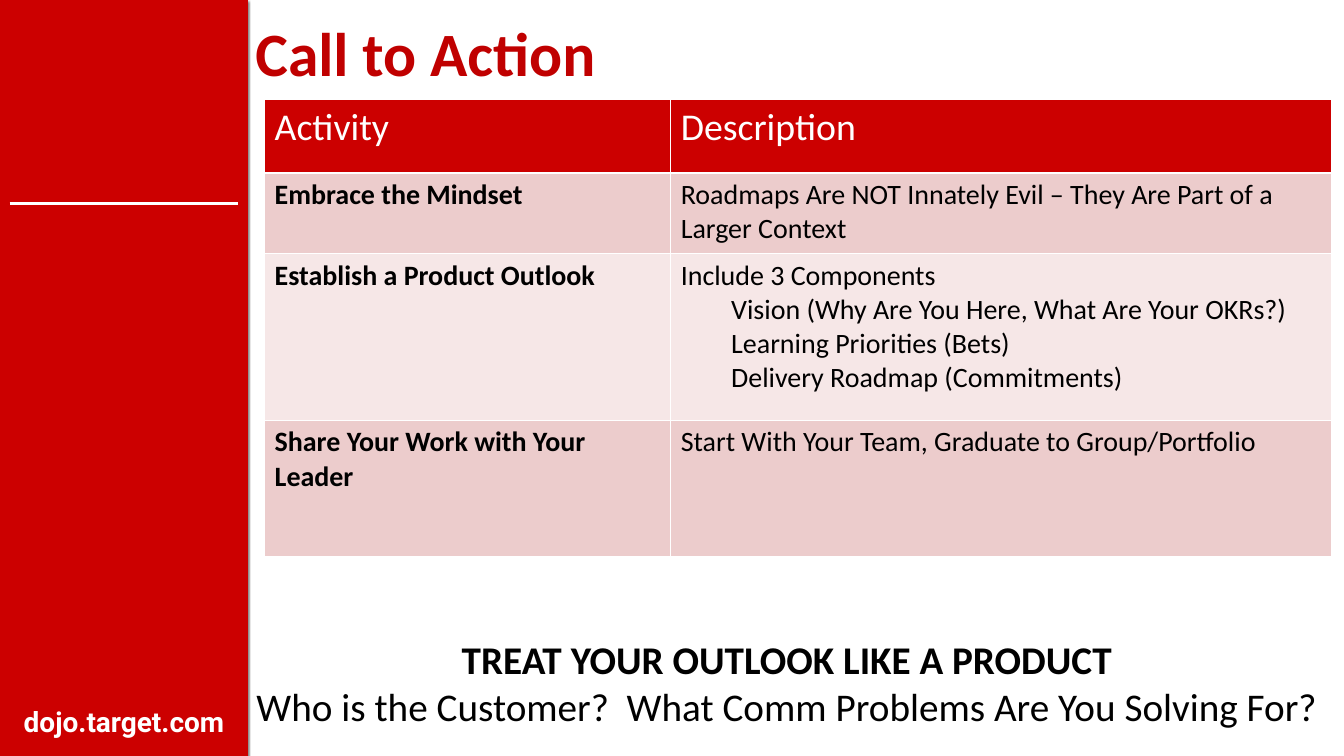
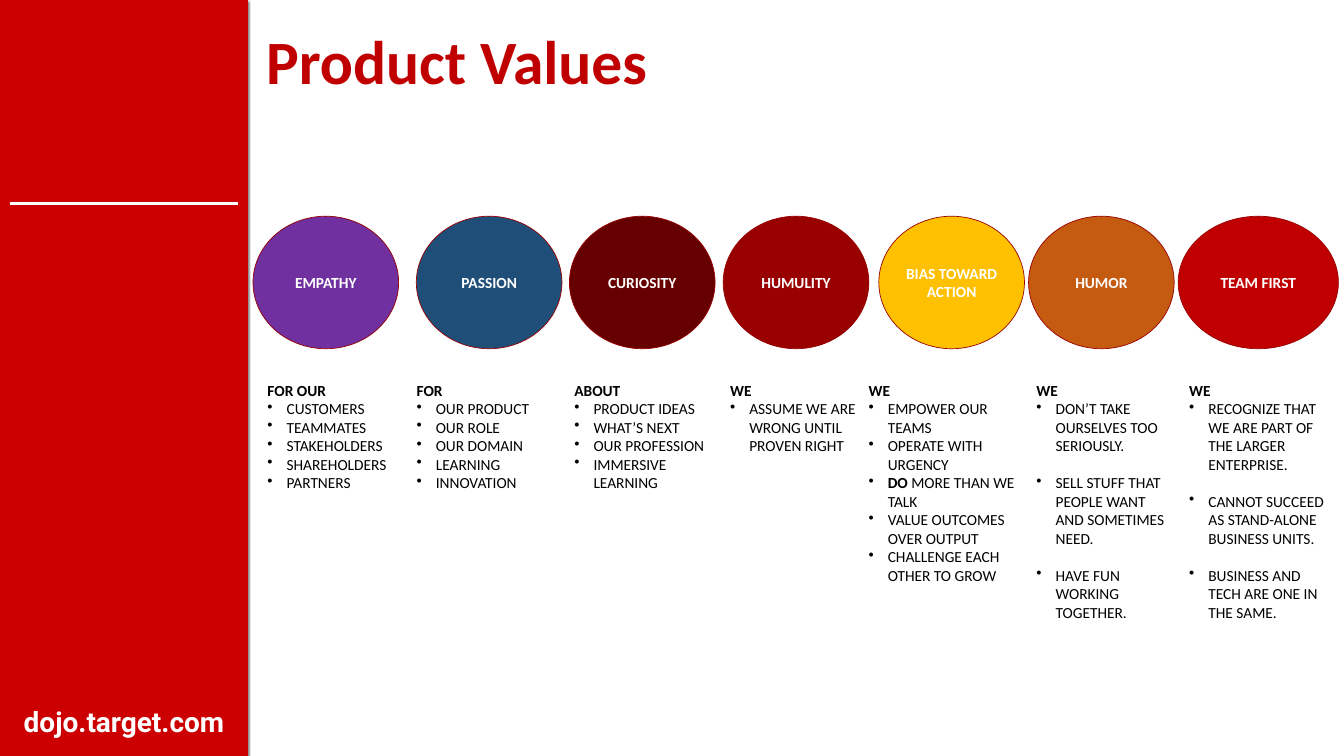
import pptx
import pptx.dml.color
import pptx.enum.shapes
import pptx.enum.text
import pptx.oxml
import pptx.oxml.ns
import pptx.util
from dataclasses import dataclass
from lxml import etree

Inches = pptx.util.Inches
Pt = pptx.util.Pt
Align = pptx.enum.text.PP_ALIGN
Anchor = pptx.enum.text.MSO_ANCHOR
Preset = pptx.enum.shapes.MSO_SHAPE

RED, TITLE_RED, OUTLINE = "CC0000", "C00000", "970000"
WHITE, BLACK = "FFFFFF", "000000"
ROW_TINTS = ["ECCCCC", "F6E7E7"]
BODY, ADDRESS_FONT = "Calibri", "Roboto"
VALUE_SIZE = 22


@dataclass
class Box:
    left: float
    top: float
    width: float
    height: float

    def share(self, left, top, width, height):
        return Box(
            self.left + self.width * left / 100,
            self.top + self.height * top / 100,
            self.width * width / 100,
            self.height * height / 100,
        )

    def place(self):
        return [Inches(n) for n in (self.left, self.top, self.width, self.height)]


PAGE = Box(0, 0, 26.67, 15)
BAND = PAGE.share(0, 0, 18.45, 100)
CONTENT = PAGE.share(18.45, 0, 81.55, 100)

ACTIVITIES = [
    ("Embrace the Mindset",
     ["Roadmaps Are NOT Innately Evil – They Are Part of a Larger Context"]),
    ("Establish a Product Outlook",
     ["Include 3 Components",
      "Vision (Why Are You Here, What Are Your OKRs?)",
      "Learning Priorities (Bets)",
      "Delivery Roadmap (Commitments)"]),
    ("Share Your Work with Your Leader",
     ["Start With Your Team, Graduate to Group/Portfolio"]),
]
ROW_SHARES = [16.02, 17.68, 36.58, 29.72]
COLUMN_SHARES = [38.07, 61.93]


@dataclass
class Value:
    name: str
    color: str
    oval: tuple
    notes: tuple
    lead: str
    points: list
    gap: float = 0


VALUES = [
    Value("EMPATHY", "7030A0", (0.46, 13.29), (1.33, 12.32, 15.6), "FOR OUR",
          ["CUSTOMERS", "TEAMMATES", "STAKEHOLDERS", "SHAREHOLDERS", "PARTNERS"]),
    Value("PASSION", "1F4E79", (15.36, 13.29), (14.94, 14.07, 17.93), "FOR",
          ["OUR PRODUCT", "OUR ROLE", "OUR DOMAIN", "LEARNING", "INNOVATION"]),
    Value("CURIOSITY", "660000", (29.33, 13.29), (29.33, 13.33, 17.93), "ABOUT",
          ["PRODUCT IDEAS", "WHAT’S NEXT", "OUR PROFESSION", "IMMERSIVE LEARNING"]),
    Value("HUMULITY", "990000", (43.36, 13.29), (43.54, 12.64, 10.53), "WE",
          ["ASSUME WE ARE WRONG UNTIL PROVEN RIGHT"]),
    Value("BIAS TOWARD ACTION", "FFC000", (57.56, 13.29), (56.18, 14.67, 30.27), "WE",
          ["EMPOWER OUR TEAMS", "OPERATE WITH URGENCY",
           [("DO", True), (" MORE THAN WE TALK", False)],
           "VALUE OUTCOMES OVER OUTPUT", "CHALLENGE EACH OTHER TO GROW"]),
    Value("HUMOR", "C55A11", (71.22, 13.29), (71.49, 13.33, 32.73), "WE",
          ["DON’T TAKE OURSELVES TOO SERIOUSLY.",
           "SELL STUFF THAT PEOPLE WANT AND SOMETIMES NEED.",
           "HAVE FUN WORKING TOGETHER."], gap=26.4),
    Value("TEAM FIRST", TITLE_RED, (84.87, 14.62), (85.43, 13.33, 32.73), "WE",
          ["RECOGNIZE THAT WE ARE PART OF THE LARGER ENTERPRISE.",
           "CANNOT SUCCEED AS STAND-ALONE BUSINESS UNITS.",
           "BUSINESS AND TECH ARE ONE IN THE SAME."], gap=26.4),
]


def rgb(color):
    return pptx.dml.color.RGBColor.from_string(color)


def write(frame, paragraphs, size, color=BLACK, font=BODY, align=Align.LEFT):
    for index, runs in enumerate(paragraphs):
        paragraph = frame.paragraphs[0] if index == 0 else frame.add_paragraph()
        paragraph.alignment = align
        for text, bold in runs:
            run = paragraph.add_run()
            run.text = text
            run.font.size = Pt(size)
            run.font.name = font
            run.font.bold = bold
            run.font.color.rgb = rgb(color)
    return frame.paragraphs


def indent(paragraph, left, hanging=0, bullet=None):
    properties = paragraph._p.get_or_add_pPr()
    properties.set("marL", str(Inches(left)))
    properties.set("indent", str(-Inches(hanging)))
    if bullet:
        etree.SubElement(properties, pptx.oxml.ns.qn("a:buChar")).set("char", bullet)


def add_text(slide, box, anchor=Anchor.TOP, wrap=True, grow=True):
    frame = slide.shapes.add_textbox(*box.place()).text_frame
    frame.word_wrap = wrap
    frame.vertical_anchor = anchor
    if grow:
        frame.auto_size = pptx.enum.text.MSO_AUTO_SIZE.SHAPE_TO_FIT_TEXT
    return frame


def add_filled(slide, preset, box, color):
    shape = slide.shapes.add_shape(preset, *box.place())
    shape.shadow.inherit = False
    shape.fill.solid()
    shape.fill.fore_color.rgb = rgb(color)
    return shape


def add_title(slide, box, text):
    frame = add_text(slide, box, Anchor.MIDDLE, grow=False)
    write(frame, [[(text, True)]], 88, TITLE_RED)[0].line_spacing = 0.9


def add_band(slide, box):
    panel = add_filled(slide, Preset.RECTANGLE, box, RED)
    panel.line.fill.background()
    effects = panel._element.spPr.find(pptx.oxml.ns.qn("a:effectLst"))
    effects.append(pptx.oxml.parse_xml(
        f'<a:outerShdw {pptx.oxml.ns.nsdecls("a")} blurRad="{Pt(3)}" dist="{Pt(2)}" '
        f'dir="5400000" rotWithShape="0"><a:srgbClr val="{BLACK}">'
        '<a:alpha val="50000"/></a:srgbClr></a:outerShdw>'))

    address = add_text(slide, box.share(3.86, 92.73, 92.28, 5.27), Anchor.MIDDLE)
    address.margin_left = address.margin_right = Inches(0.06)
    address.margin_top = address.margin_bottom = Inches(0.06)
    write(address, [[("dojo.target.com", True)]], 40, WHITE, ADDRESS_FONT, Align.CENTER)

    left, top, width, _ = box.share(3.86, 26.93, 92.28, 0).place()
    rule = slide.shapes.add_connector(
        pptx.enum.shapes.MSO_CONNECTOR.STRAIGHT, left, top, left + width, top)
    rule.line.color.rgb = rgb(WHITE)
    rule.line.width = Pt(5)
    etree.SubElement(rule._element.spPr, pptx.oxml.ns.qn("a:effectLst"))


def style_cell(cell, fill, bottom=1):
    properties = cell._tc.get_or_add_tcPr()
    for side, width in zip("LRTB", (1, 1, 1, bottom)):
        properties.append(pptx.oxml.parse_xml(
            f'<a:ln{side} {pptx.oxml.ns.nsdecls("a")} w="{Pt(width)}"><a:solidFill>'
            f'<a:srgbClr val="{WHITE}"/></a:solidFill></a:ln{side}>'))
    cell.fill.solid()
    cell.fill.fore_color.rgb = rgb(fill)
    cell.margin_left = cell.margin_right = Inches(0.2)
    cell.margin_top = cell.margin_bottom = Inches(0.1)


def add_activities(slide, box):
    table = slide.shapes.add_table(
        len(ROW_SHARES), len(COLUMN_SHARES), *box.place()).table
    for column, share in zip(table.columns, COLUMN_SHARES):
        column.width = Inches(box.width * share / 100)
    for row, share in zip(table.rows, ROW_SHARES):
        row.height = Inches(box.height * share / 100)

    for column, heading in enumerate(["Activity", "Description"]):
        cell = table.cell(0, column)
        style_cell(cell, RED, bottom=3)
        write(cell.text_frame, [[(heading, False)]], 54, WHITE)

    for row, (activity, details) in enumerate(ACTIVITIES, 1):
        name, description = table.cell(row, 0), table.cell(row, 1)
        for cell in (name, description):
            style_cell(cell, ROW_TINTS[(row - 1) % 2])
        write(name.text_frame, [[(activity, True)]], 40)
        lines = write(description.text_frame, [[(d, False)] for d in details], 40)
        for component in lines[1:]:
            indent(component, 1)


def add_value(slide, box, value):
    left, width = value.oval
    oval = add_filled(slide, Preset.OVAL, box.share(left, 28.6, width, 17.53), value.color)
    oval.line.color.rgb = rgb(OUTLINE)
    oval.line.width = Pt(1)
    oval.text_frame.word_wrap = True
    oval.text_frame.vertical_anchor = Anchor.MIDDLE
    write(oval.text_frame, [[(value.name, True)]], VALUE_SIZE, WHITE, align=Align.CENTER)

    left, width, height = value.notes
    notes = add_text(slide, box.share(left, 50.07, width, height))
    points = [[(p, False)] if isinstance(p, str) else p for p in value.points]
    lines = write(notes, [[(value.lead, True)]] + points, VALUE_SIZE)
    for number, line in enumerate(lines[1:]):
        indent(line, 0.38, 0.38, "•")
        if number and value.gap:
            line.space_before = Pt(value.gap)


def call_to_action(slide, box):
    add_title(slide, box.share(0.23, 0, 98, 15), "Call to Action")
    add_activities(slide, box.share(1.52, 13.2, 97.33, 60.33))
    closing = add_text(slide, box.share(0.23, 83.73, 97.93, 13.27), wrap=False)
    write(closing, [
        [("TREAT YOUR OUTLOOK LIKE A PRODUCT", True)],
        [("Who is the Customer?  What Comm Problems Are You Solving For?", False)],
    ], 56, align=Align.CENTER)


def product_values(slide, box):
    for value in VALUES:
        add_value(slide, box, value)
    add_title(slide, box.share(1.2, 2.8, 98, 11.47), "Product Values")


def main():
    deck = pptx.Presentation()
    deck.slide_width, deck.slide_height = PAGE.place()[2:]
    for build in (call_to_action, product_values):
        slide = deck.slides.add_slide(deck.slide_layouts[6])
        add_band(slide, BAND)
        build(slide, CONTENT)
    deck.save("out.pptx")


if __name__ == "__main__":
    main()
